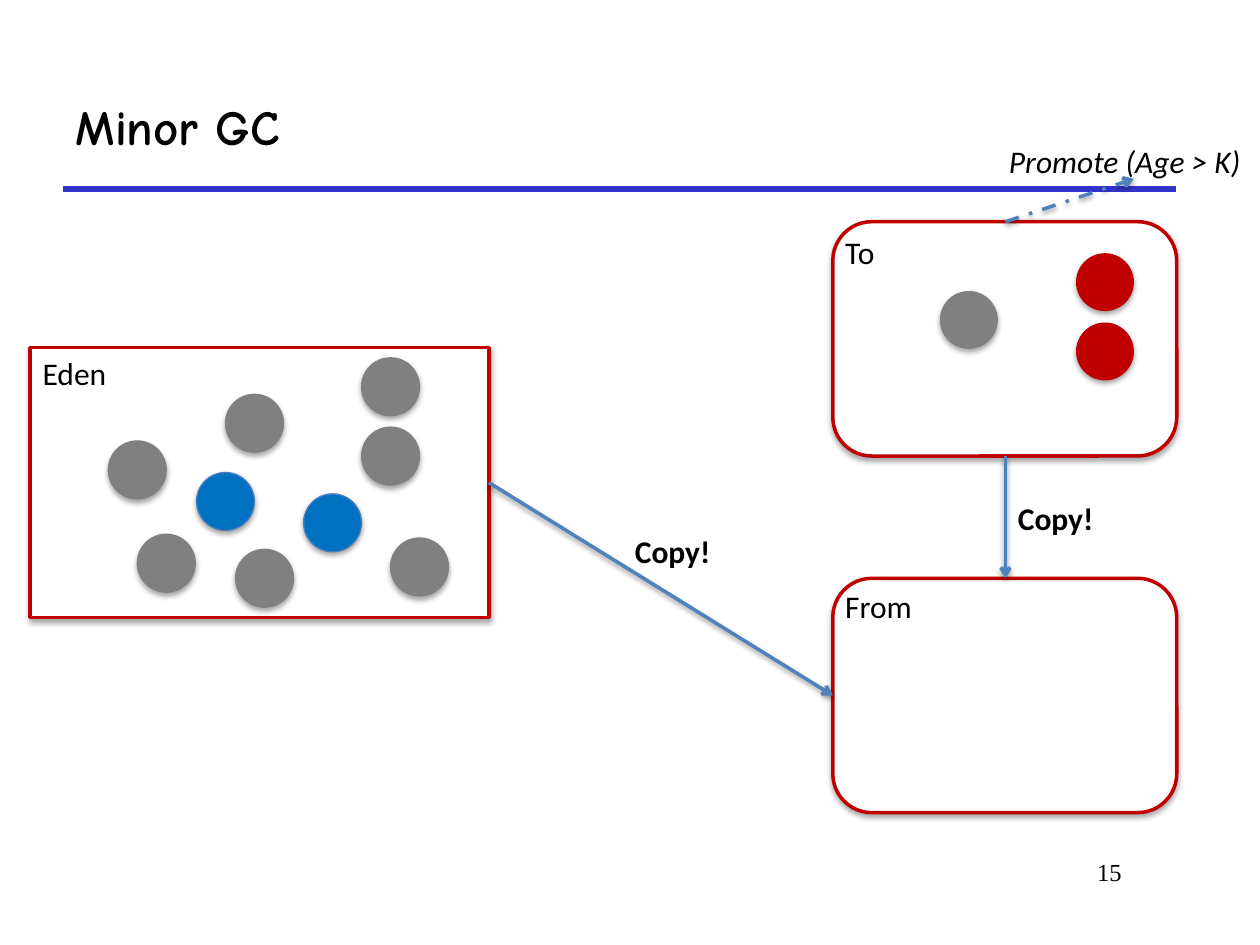
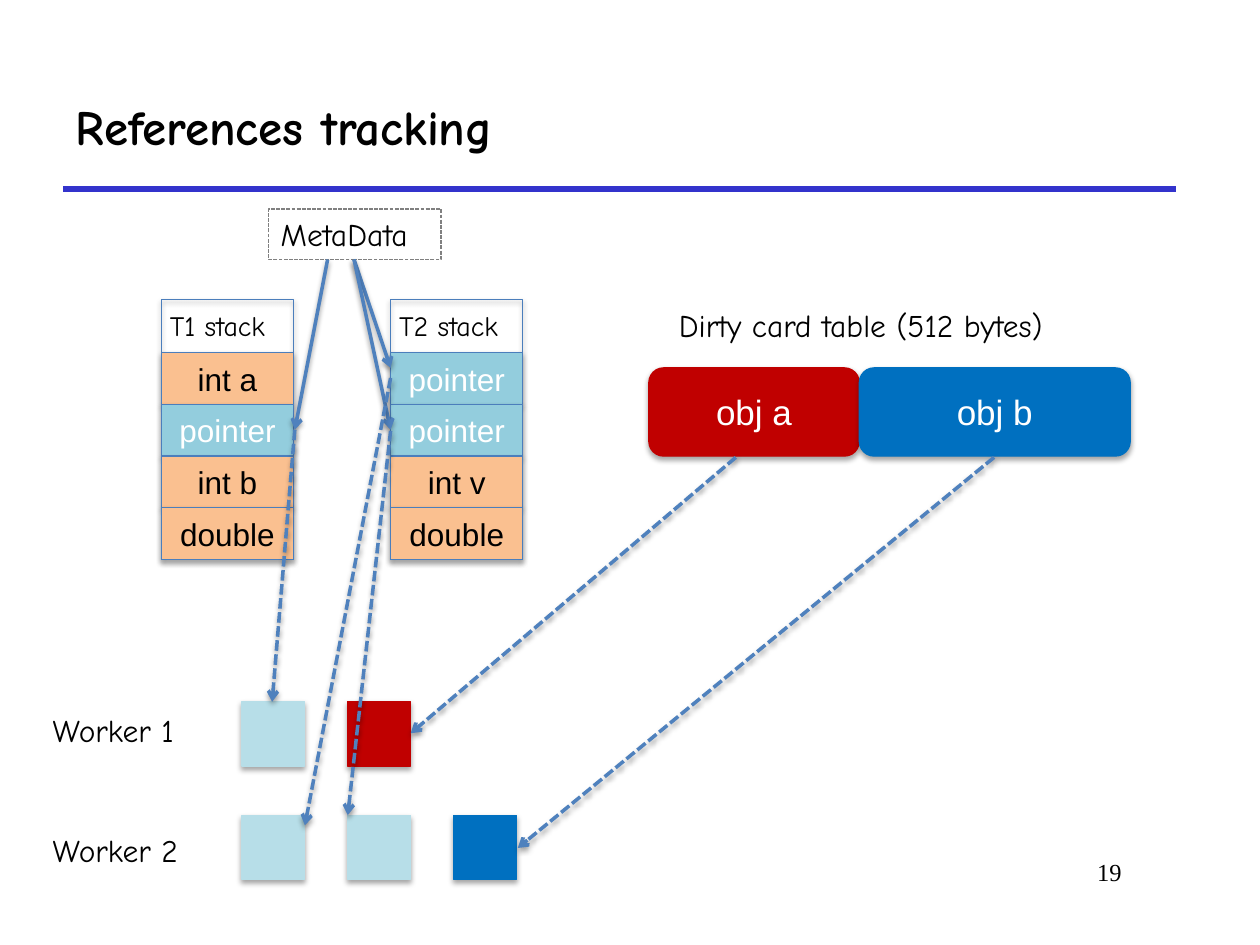
from dataclasses import dataclass

from lxml import etree
from pptx import Presentation
from pptx.dml.color import RGBColor
from pptx.enum.dml import MSO_LINE
from pptx.enum.shapes import MSO_CONNECTOR, MSO_SHAPE
from pptx.enum.text import MSO_ANCHOR, MSO_AUTO_SIZE, PP_ALIGN
from pptx.oxml.ns import qn
from pptx.util import Inches, Pt

RECT, ROUND, OVAL = MSO_SHAPE.RECTANGLE, MSO_SHAPE.ROUNDED_RECTANGLE, MSO_SHAPE.OVAL
DASHED, DASH_DOT = MSO_LINE.SQUARE_DOT, MSO_LINE.DASH_DOT
LEFT, CENTER, RIGHT = PP_ALIGN.LEFT, PP_ALIGN.CENTER, PP_ALIGN.RIGHT
TITLE_ONLY = 5


@dataclass(frozen=True)
class Theme:
    black: str = "000000"
    white: str = "FFFFFF"
    rule: str = "3333CC"
    red: str = "C00000"
    blue: str = "0070C0"
    gray: str = "808080"
    outline: str = "4B7EBC"
    arrow: str = "4F81BD"
    value: str = "FAC090"
    pointer: str = "93CDDD"
    task: str = "B7DEE8"
    hand: str = "Comic Neue"
    label: str = "Calibri"
    cell: str = "Arial"
    number: str = "Times New Roman"
    title_size: int = 28
    object_size: int = 20
    text_size: int = 18
    stack_size: int = 16
    number_size: int = 14
    thin: float = 0.75
    thick: float = 2
    rule_width: float = 3


THEME = Theme()

# Minor GC: name, shape, box, top of the name, width of the name
REGIONS = [
    ("Eden", RECT, (0.24, 2.76, 3.64, 2.14), 2.76, 1.43),
    ("To", ROUND, (6.61, 1.76, 2.73, 1.86), 1.8, 1.48),
    ("From", ROUND, (6.61, 4.59, 2.73, 1.86), 4.61, 1.48),
]
BALL = 0.46
# fill, line, left-top corners
BALLS = [
    (THEME.gray, None, [(7.46, 2.31)]),
    (THEME.red, None, [(8.54, 2.56), (8.54, 2.01)]),
    (THEME.gray, THEME.gray, [(0.86, 3.5), (1.79, 3.13), (1.09, 4.24), (2.87, 3.39),
                              (2.87, 2.84), (1.87, 4.36), (3.1, 4.27)]),
    (THEME.blue, THEME.outline, [(2.41, 3.92), (1.56, 3.75)]),
]
MOVES = [
    ((3.88, 3.83), (6.61, 5.52), None),
    ((7.98, 3.62), (7.98, 4.59), None),
    ((7.98, 1.76), (9, 1.42), DASH_DOT),
]
# text, box, bold, italic
MOVE_LABELS = [
    ("Copy!", (7.98, 3.91, 0.81, 0.4), True, False),
    ("Copy!", (4.94, 4.17, 0.81, 0.4), True, False),
    ("Promote (Age > K)", (7.91, 1.08, 2.13, 0.4), False, True),
]

# References tracking
STACKS = [
    ("T1 stack", 1.28, ["int a", "pointer", "int b", "double"]),
    ("T2 stack", 3.1, ["pointer", "pointer", "int v", "double"]),
]
STACK_TOP, STACK_WIDTH, STACK_HEIGHT = 2.38, 1.05, 2.06
CELL_TOP = 2.8
CARD_TITLE = ("Dirty card table (512 bytes)", (5.29, 2.38, 3.53, 0.4))
CARD_LEFT, CARD_TOP, CARD_HEIGHT = 5.15, 2.92, 0.7
CARDS = [("obj a", 1.67, THEME.red), ("obj b", 2.15, THEME.blue)]
METADATA = ("MetaData", (2.13, 1.66, 1.37, 0.4))
METADATA_ARROWS = [
    ((2.6, 2.06), (2.34, 3.41)),
    ((2.81, 2.06), (3.1, 2.92)),
    ((2.81, 2.06), (3.1, 3.41)),
]
TASK_LEFT, TASK_STEP = 1.92, 0.84
TASK_WIDTH, TASK_HEIGHT = 0.5, 0.51
# name, top of the name, top of the tasks, task colours
WORKERS = [
    ("Worker 1", 5.59, 5.57, [THEME.task, THEME.red]),
    ("Worker 2", 6.55, 6.47, [THEME.task, THEME.task, THEME.blue]),
]
TASK_ARROWS = [
    ((5.84, 3.63), (3.26, 5.82)),
    ((7.89, 3.63), (4.11, 6.73)),
    ((2.34, 3.41), (2.16, 5.57)),
    ((3.1, 3), (2.42, 6.55)),
    ((3.1, 3.42), (2.76, 6.47)),
]


def inches(values):
    return [Inches(value) for value in values]


def color(code):
    return RGBColor.from_string(code)


def set_effects(shape, distance=None, opacity=35):
    """Replace the theme's shadow by a soft one below, or by none."""
    effects = etree.SubElement(shape._element.spPr, qn("a:effectLst"))
    if distance is None:
        return
    shadow = etree.SubElement(effects, qn("a:outerShdw"), blurRad=str(Pt(3.1)),
                              dist=str(Pt(distance)), dir="5400000", rotWithShape="0")
    black = etree.SubElement(shadow, qn("a:srgbClr"), val=THEME.black)
    etree.SubElement(black, qn("a:alpha"), val=str(opacity * 1000))


def style_line(line, code, width, dash=None):
    line.color.rgb = color(code)
    line.width = Pt(width)
    if dash is not None:
        line.dash_style = dash


def write(shape, text, font, size, code=THEME.black, align=LEFT, bold=False, italic=False):
    para = shape.text_frame.paragraphs[0]
    para.text = text
    para.alignment = align
    para.font.name = font
    para.font.size = Pt(size)
    para.font.color.rgb = color(code)
    para.font.bold = bold
    para.font.italic = italic


def add_label(page, text, box, font, size=THEME.text_size, wrap=False, **style):
    label = page.shapes.add_textbox(*inches(box))
    label.text_frame.word_wrap = wrap
    label.text_frame.auto_size = MSO_AUTO_SIZE.SHAPE_TO_FIT_TEXT
    write(label, text, font, size, **style)
    return label


def add_block(page, kind, box, fill=None, line=None, width=THEME.thin):
    block = page.shapes.add_shape(kind, *inches(box))
    if fill:
        block.fill.solid()
        block.fill.fore_color.rgb = color(fill)
    else:
        block.fill.background()
    if line:
        style_line(block.line, line, width)
    else:
        block.line.fill.background()
    set_effects(block, distance=1.8)
    return block


def add_line(page, start, end, code, width, dash=None):
    line = page.shapes.add_connector(MSO_CONNECTOR.STRAIGHT, *inches(start + end))
    style_line(line.line, code, width, dash)
    return line


def add_arrow(page, start, end, dash=None):
    arrow = add_line(page, start, end, THEME.arrow, THEME.thick, dash)
    etree.SubElement(arrow._element.spPr.find(qn("a:ln")), qn("a:tailEnd"), type="arrow")
    set_effects(arrow, distance=1.6, opacity=38)


def add_page(deck, title, number):
    page = deck.slides.add_slide(deck.slide_layouts[TITLE_ONLY])
    set_effects(add_line(page, (0.5, 1.5), (9.33, 1.5), THEME.rule, THEME.rule_width))
    heading = page.shapes.title
    heading.left, heading.top, heading.width, heading.height = inches((0.5, 0.5, 8.83, 1))
    heading.text_frame.vertical_anchor = MSO_ANCHOR.MIDDLE
    write(heading, title, THEME.hand, THEME.title_size, bold=True)
    footer = page.shapes.add_textbox(*inches((6.92, 6.75, 2.08, 0.5)))
    footer.text_frame.word_wrap = True
    write(footer, number, THEME.number, THEME.number_size, align=RIGHT)
    return page


def add_stack(page, name, left, cells):
    add_block(page, RECT, (left, STACK_TOP, STACK_WIDTH, STACK_HEIGHT), line=THEME.outline)
    add_label(page, name, (left - 0.03, STACK_TOP + 0.02, 1.1, 0.37),
              THEME.hand, THEME.stack_size)
    height = (STACK_TOP + STACK_HEIGHT - CELL_TOP) / len(cells)
    for row, text in enumerate(cells):
        is_pointer = text == "pointer"
        cell = add_block(page, RECT, (left, CELL_TOP + row * height, STACK_WIDTH, height),
                         THEME.pointer if is_pointer else THEME.value, THEME.outline)
        write(cell, text, THEME.cell, THEME.text_size,
              THEME.white if is_pointer else THEME.black, CENTER)


def add_minor_gc(deck):
    page = add_page(deck, "Minor GC", "15")
    for name, kind, box, name_top, name_width in REGIONS:
        add_block(page, kind, box, THEME.white, THEME.red, THEME.thick)
        add_label(page, name, (box[0], name_top, name_width, 0.4), THEME.label, wrap=True)
    for fill, line, corners in BALLS:
        for corner in corners:
            add_block(page, OVAL, corner + (BALL, BALL), fill, line)
    for start, end, dash in MOVES:
        add_arrow(page, start, end, dash)
    for text, box, bold, italic in MOVE_LABELS:
        add_label(page, text, box, THEME.label, bold=bold, italic=italic)


def add_references_tracking(deck):
    page = add_page(deck, "References tracking", "19")
    for name, left, cells in STACKS:
        add_stack(page, name, left, cells)

    add_label(page, *CARD_TITLE, THEME.hand)
    left = CARD_LEFT
    for text, width, fill in CARDS:
        card = add_block(page, ROUND, (left, CARD_TOP, width, CARD_HEIGHT), fill, fill)
        write(card, text, THEME.cell, THEME.object_size, THEME.white, CENTER)
        left += width

    metadata = add_label(page, *METADATA, THEME.hand)
    style_line(metadata.line, THEME.gray, THEME.thin, DASHED)
    for start, end in METADATA_ARROWS:
        add_arrow(page, start, end)

    for name, name_top, top, fills in WORKERS:
        for column, fill in enumerate(fills):
            box = (TASK_LEFT + column * TASK_STEP, top, TASK_WIDTH, TASK_HEIGHT)
            add_block(page, RECT, box, fill, fill)
        add_label(page, name, (0.32, name_top, 1.32, 0.4), THEME.hand)
    for start, end in TASK_ARROWS:
        add_arrow(page, start, end, DASHED)


def main():
    deck = Presentation()
    deck.slide_width, deck.slide_height = inches((10, 7.5))
    add_minor_gc(deck)
    add_references_tracking(deck)
    deck.save("out.pptx")


if __name__ == "__main__":
    main()
